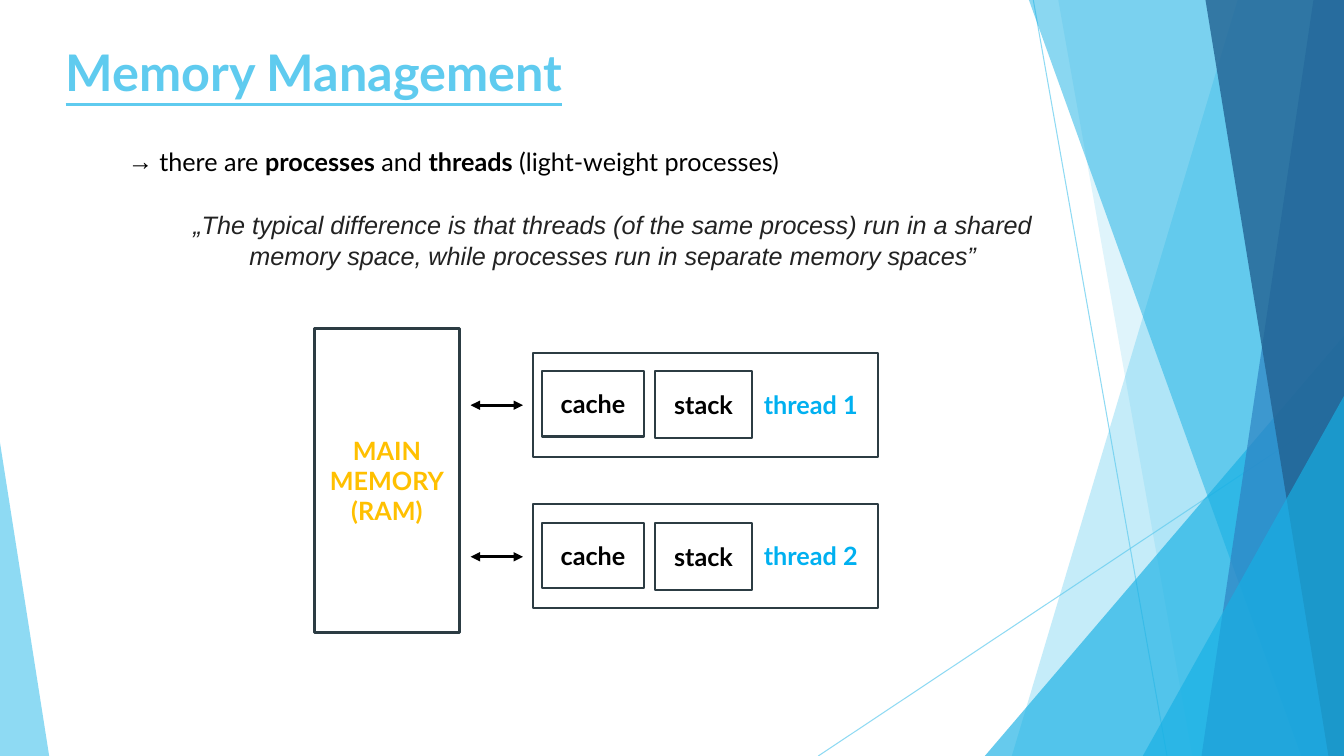
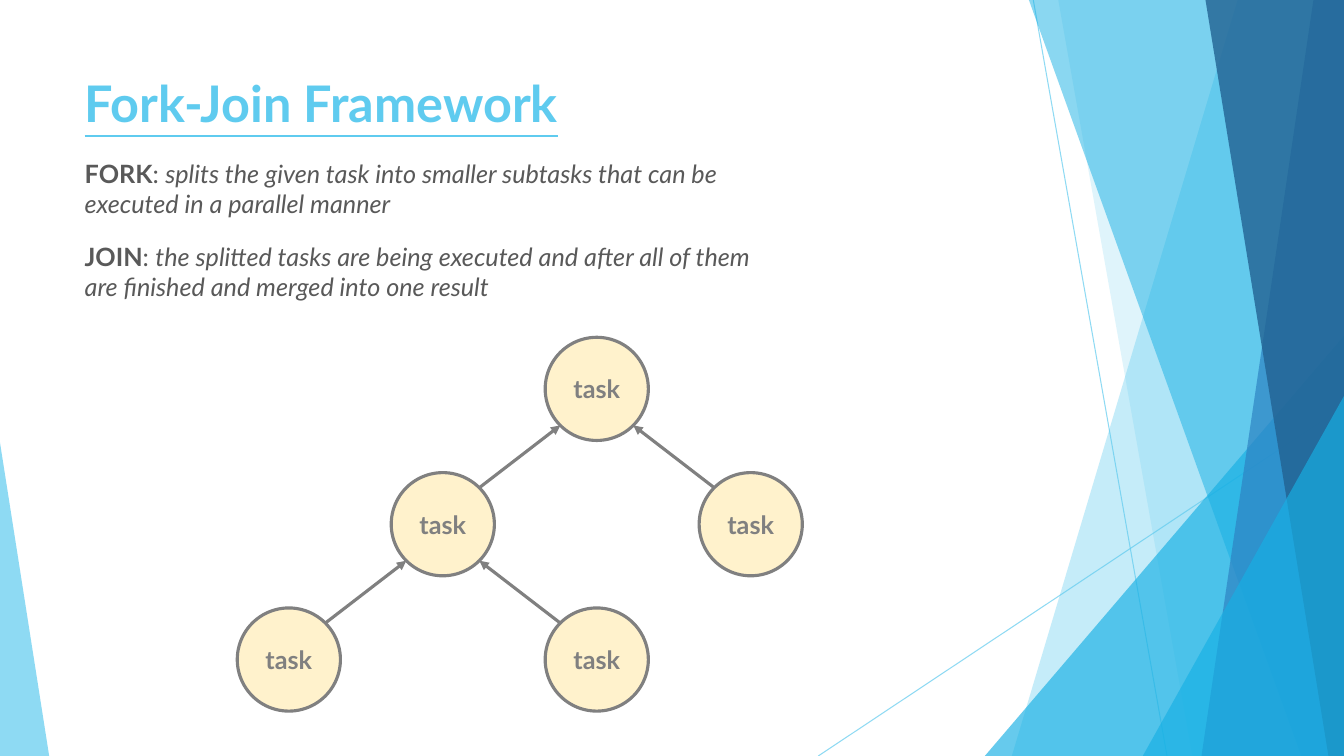
from dataclasses import dataclass
from math import cos, pi

from lxml.etree import SubElement
from pptx import Presentation
from pptx.dml.color import RGBColor
from pptx.enum.shapes import MSO_CONNECTOR, MSO_SHAPE
from pptx.enum.text import MSO_ANCHOR, MSO_AUTO_SIZE, PP_ALIGN
from pptx.oxml.ns import qn
from pptx.shapes.connector import Connector
from pptx.util import Cm, Pt


@dataclass(frozen=True)
class Theme:
    sky: str = "5FCBEF"
    cyan: str = "17B0E4"
    blue: str = "2E83C3"
    navy: str = "226292"
    black: str = "000000"
    slate: str = "2C3C43"
    quote: str = "222222"
    memory: str = "FFC000"
    thread: str = "00B0F0"
    prose: str = "595959"
    task_line: str = "808080"
    task_fill: str = "FFF2CC"
    font: str = "Lato"
    quote_font: str = "Arial"
    title_size: float = 36
    text_size: float = 18
    hairline: float = 0.75
    thin: float = 1.5
    thick: float = 2.25


theme = Theme()


def paint(shape, fill=None, line=None, width=theme.thick, alpha=None, arrows=()):
    if line:
        shape.line.color.rgb = RGBColor.from_string(line)
        shape.line.width = Pt(width)
    else:
        shape.line.fill.background()
    properties = shape.element.spPr
    if isinstance(shape, Connector):
        for end in arrows:
            SubElement(properties.find(qn("a:ln")), qn(end), type="triangle")
        SubElement(properties, qn("a:effectLst"))
    else:
        shape.shadow.inherit = False
        if fill:
            shape.fill.solid()
            shape.fill.fore_color.rgb = RGBColor.from_string(fill)
        else:
            shape.fill.background()
    if alpha:
        for color in properties.iter(qn("a:srgbClr")):
            SubElement(color, qn("a:alpha"), val=str(alpha * 1000))
    return shape


def write(shape, paragraphs, color, align=PP_ALIGN.LEFT, size=theme.text_size, font=theme.font):
    frame = shape.text_frame
    frame.word_wrap = True
    frame.auto_size = MSO_AUTO_SIZE.NONE
    for number, runs in enumerate(paragraphs):
        paragraph = frame.add_paragraph() if number else frame.paragraphs[0]
        paragraph.alignment = align
        paragraph.space_before = Pt(0)
        for text, style in runs:
            run = paragraph.add_run()
            run.text = text
            run.font.name = font
            run.font.size = Pt(size)
            run.font.color.rgb = RGBColor.from_string(color)
            run.font.bold = "b" in style
            run.font.italic = "i" in style
            run.font.underline = "u" in style
    return frame


deck = Presentation()
deck.slide_width, deck.slide_height = Cm(33.87), Cm(19.05)
right, bottom = 33.87, 19.05

layout = deck.slide_layouts[1]
for placeholder in list(layout.placeholders):
    if placeholder.placeholder_format.idx >= 10:
        layout.shapes.element.remove(placeholder.element)

pages = []
for heading, title_left, title_top, body_box in (
    ("Memory Management", 1.4, 0.91, (2.97, 3.56, 20, 1.2)),
    ("Fork-Join Framework", 1.88, 1.7, (1.88, 3.86, 17.7, 4)),
):
    page = deck.slides.add_slide(layout)
    title = page.shapes.title
    title.left, title.top, title.width, title.height = map(Cm, (title_left, title_top, 23.88, 3.66))
    title_frame = write(title, [[(heading, "bu")]], theme.sky, size=theme.title_size)
    title_frame.vertical_anchor = MSO_ANCHOR.TOP
    body = page.placeholders[1]
    body.left, body.top, body.width, body.height = map(Cm, body_box)
    pages.append((page.shapes, body))

(memory, memory_body), (fork_join, fork_join_body) = pages

backdrop = []
for ray in ((26.04, 0, 29.41, bottom), (right, 10.24, 20.62, bottom)):
    connector = memory.add_connector(MSO_CONNECTOR.STRAIGHT, *map(Cm, ray))
    backdrop.append(paint(connector, line=theme.sky, width=theme.hairline, alpha=70))

for kind, geometry, color, alpha in (
    ("band", (31.19, 25.5), theme.sky, 36),
    ("band", (26.67, 30.05), theme.sky, 20),
    ("wedge", (24.82, 8.46, 9.05, 1), theme.cyan, 66),
    ("band", (25.93, 32.79), theme.cyan, 50),
    ("band", (33.1, 30.28), theme.blue, 70),
    ("band", (30.38, 33.48), theme.navy, 80),
    ("wedge", (28.8, 9.98, 5.07, 1), theme.cyan, 66),
    ("wedge", (0, 11.15, 1.24, 0), theme.sky, 70),
):
    if kind == "band":
        top_x, bottom_x = geometry
        outline = memory.build_freeform(Cm(top_x), 0)
        corners = ((right, 0), (right, bottom), (bottom_x, bottom))
        outline.add_line_segments([(Cm(x), Cm(y)) for x, y in corners], close=True)
        facet = outline.convert_to_shape()
    else:
        left, top, width, apex = geometry
        facet = memory.add_shape(
            MSO_SHAPE.ISOSCELES_TRIANGLE, Cm(left), Cm(top), Cm(width), Cm(bottom - top)
        )
        facet.adjustments[0] = apex
    backdrop.append(paint(facet, fill=color, alpha=alpha))

for part in backdrop:
    layout.shapes.element.append(part.element)

intro = write(
    memory_body,
    [[
        ("there are ", ""),
        ("processes", "b"),
        (" and ", ""),
        ("threads", "b"),
        (" (light-weight processes)", ""),
    ]],
    theme.black,
)
bullet = intro.paragraphs[0]._p.get_or_add_pPr()
bullet.set("marL", str(Cm(0.79)))
bullet.set("indent", str(-Cm(0.79)))
SubElement(bullet, qn("a:buChar"), char="→")

quote = memory.add_textbox(Cm(4.42), Cm(5.16), Cm(22.05), Cm(1.8))
write(
    quote,
    [
        [("„The typical difference is that threads (of the same process) run in a shared", "i")],
        [("memory space, while processes run in separate memory spaces”", "i")],
    ],
    theme.quote,
    PP_ALIGN.CENTER,
    font=theme.quote_font,
)

ram = memory.add_shape(MSO_SHAPE.RECTANGLE, Cm(7.92), Cm(8.28), Cm(3.66), Cm(7.65))
paint(ram, line=theme.slate)
write(ram, [[("MAIN MEMORY", "b")], [("(RAM)", "b")]], theme.memory, PP_ALIGN.CENTER)

for number in (1, 2):
    thread_top = 8.89 + 3.82 * (number - 1)
    thread_middle = thread_top + 1.32
    for part, left, offset, width, height in (
        (None, 13.44, 0, 8.69, 2.62),
        ("stack", 16.51, 0.46, 2.44, 1.7),
        ("cache", 13.66, 0.46, 2.57, 1.65),
    ):
        box = memory.add_shape(
            MSO_SHAPE.RECTANGLE, Cm(left), Cm(thread_top + offset), Cm(width), Cm(height)
        )
        paint(box, line=theme.slate, width=theme.thin)
        if part:
            write(box, [[(part, "b")]], theme.black, PP_ALIGN.CENTER)
    label = memory.add_textbox(Cm(19), Cm(thread_top + 0.79), Cm(3.15), Cm(1.02))
    write(label, [[(f"thread {number}", "b")]], theme.thread)
    exchange = memory.add_connector(
        MSO_CONNECTOR.STRAIGHT, Cm(11.86), Cm(thread_middle), Cm(13.18), Cm(thread_middle)
    )
    paint(exchange, line=theme.black, arrows=("a:headEnd", "a:tailEnd"))

definitions = write(
    fork_join_body,
    [
        [
            ("FORK", "b"),
            (": ", ""),
            ("splits the given task into smaller subtasks that can be executed in a parallel manner", "i"),
        ],
        [
            ("JOIN", "b"),
            (": ", ""),
            (
                "the splitted tasks are being executed and after all of them "
                "are finished and merged into one result",
                "i",
            ),
        ],
    ],
    theme.prose,
)
definitions.paragraphs[1].space_before = Pt(16)
for paragraph in definitions.paragraphs:
    plain = paragraph._p.get_or_add_pPr()
    plain.set("marL", "0")
    plain.set("indent", "0")
    SubElement(plain, qn("a:buNone"))

diameter = 2.6
reach = diameter / 2 * cos(pi / 4)
parents = {(2, 0): None, (1, 1): (2, 0), (3, 1): (2, 0), (0, 2): (1, 1), (2, 2): (1, 1)}
centers = {
    (column, row): (7.28 + 3.88 * column, 9.8 + 3.41 * row) for column, row in parents
}
for node, parent in parents.items():
    x, y = centers[node]
    task = fork_join.add_shape(
        MSO_SHAPE.OVAL, Cm(x - diameter / 2), Cm(y - diameter / 2), Cm(diameter), Cm(diameter)
    )
    paint(task, fill=theme.task_fill, line=theme.task_line)
    write(task, [[("task", "b")]], theme.task_line, PP_ALIGN.CENTER)
    if parent:
        parent_x, parent_y = centers[parent]
        shift = reach if parent_x > x else -reach
        join = fork_join.add_connector(
            MSO_CONNECTOR.STRAIGHT,
            Cm(x + shift), Cm(y - reach), Cm(parent_x - shift), Cm(parent_y + reach),
        )
        paint(join, line=theme.task_line, arrows=("a:tailEnd",))

deck.save("out.pptx")
